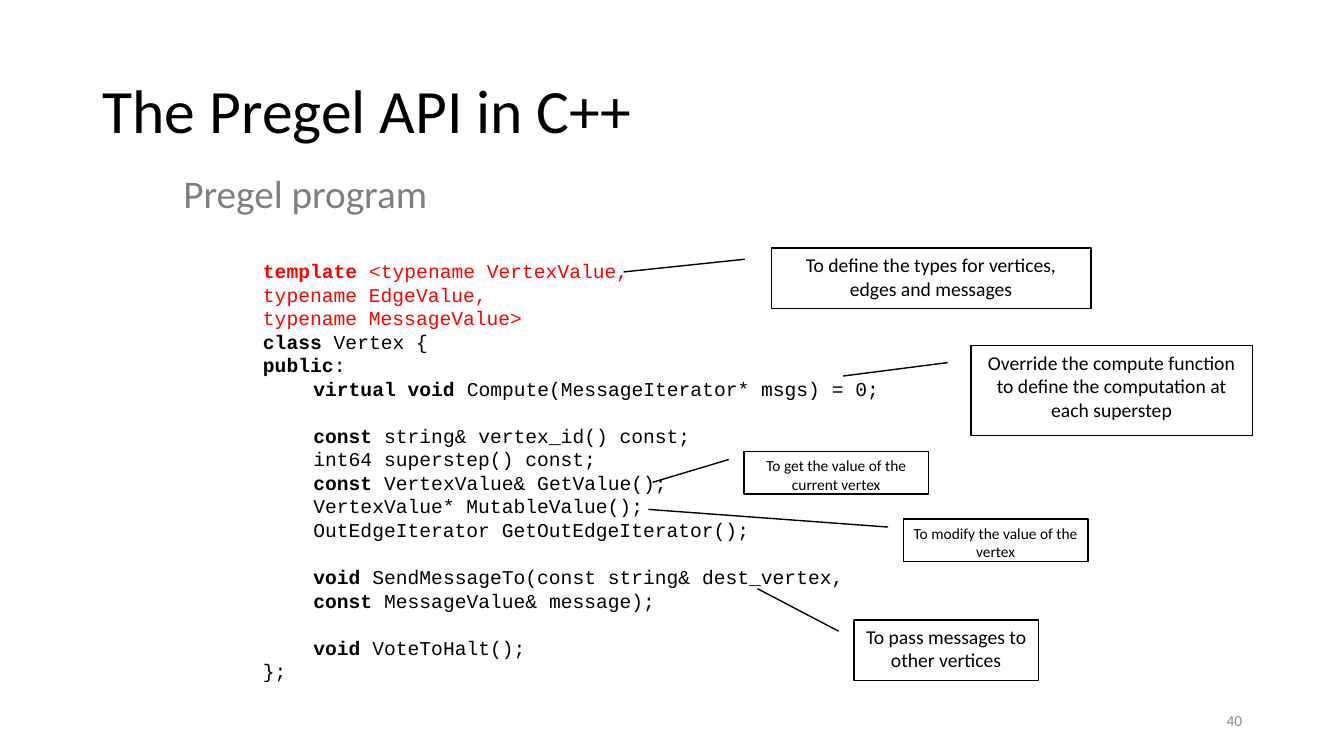
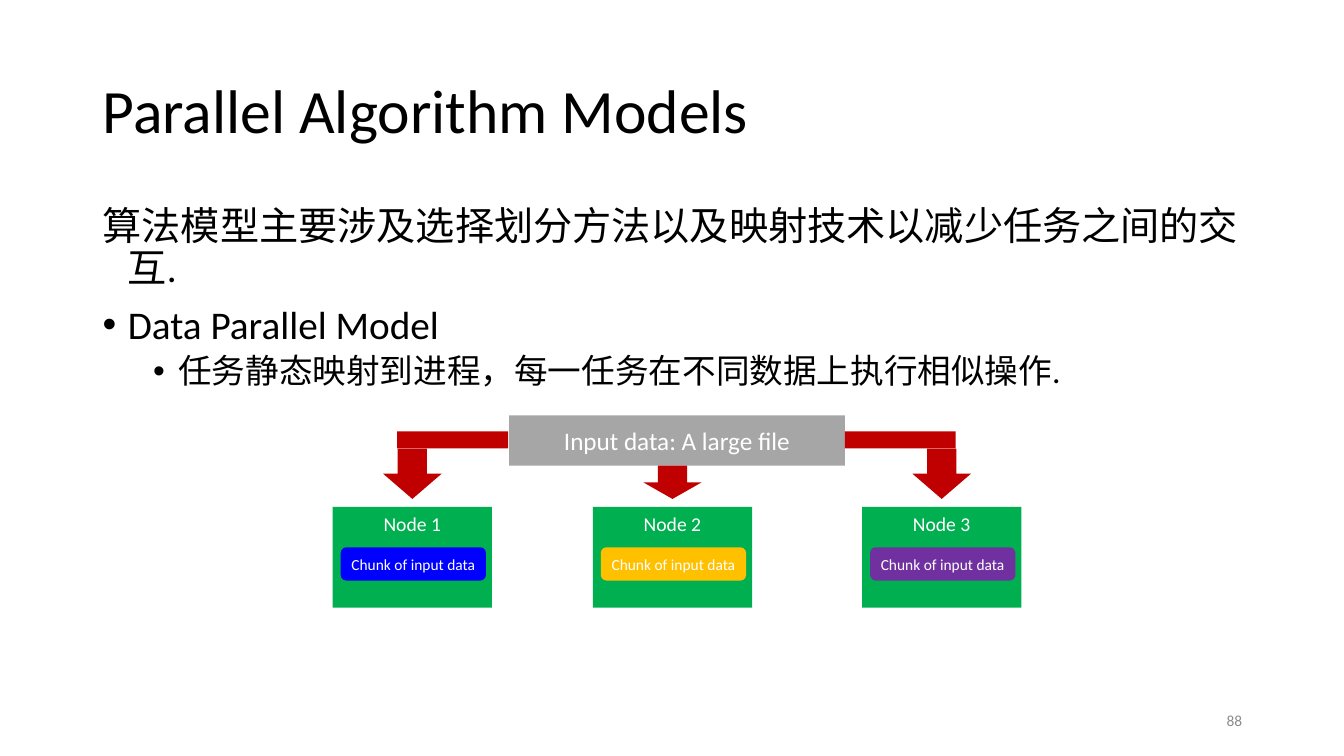
from pptx import Presentation
from pptx.dml.color import RGBColor
from pptx.enum.shapes import MSO_SHAPE
from pptx.enum.text import MSO_ANCHOR, PP_ALIGN
from pptx.oxml.ns import qn
from pptx.util import Inches, Pt
from lxml import etree

COLORS = {
    "black": "000000", "white": "FFFFFF", "red": "FF0000", "subtitle": "7F7F7F",
    "number": "8C8C8C", "file": "A6A6A6", "arrow": "C00000", "node": "00B050",
    "blue": "0000FF", "gold": "FFC000", "purple": "7030A0",
}
FONT = "Calibri"
CODE_FONT = "Courier New"


def style_font(font, size, color, name=FONT, bold=False):
    font.name = name
    font.size = Pt(size)
    font.bold = bold
    font.color.rgb = RGBColor.from_string(COLORS[color])


def add_box(page, place, lines, size=14, color="black", kind=None, fill=None, line=None,
            anchor=MSO_ANCHOR.TOP, align=PP_ALIGN.LEFT, spacing=1.0):
    place = [Inches(value) for value in place]
    if kind is None:
        box = page.shapes.add_textbox(*place)
    else:
        box = page.shapes.add_shape(kind, *place)
        box.shadow.inherit = False
        box.fill.solid()
        box.fill.fore_color.rgb = RGBColor.from_string(COLORS[fill])
        if line:
            box.line.color.rgb = RGBColor.from_string(COLORS[line])
            box.line.width = Pt(1)
        else:
            box.line.fill.background()
    frame = box.text_frame
    frame.word_wrap = True
    frame.vertical_anchor = anchor
    frame.text = lines
    for para in frame.paragraphs:
        para.alignment = align
        para.line_spacing = spacing
        for span in para.runs:
            style_font(span.font, size, color)
    return box


deck = Presentation()
deck.slide_width = Inches(13.33)
deck.slide_height = Inches(7.5)

pages = []
for title, number in [("The Pregel API in C++", "40"), ("Parallel Algorithm Models", "88")]:
    page = deck.slides.add_slide(deck.slide_layouts[6])
    add_box(page, (0.92, 0.4, 11.5, 1.45), title, 44, anchor=MSO_ANCHOR.MIDDLE, spacing=0.9)
    add_box(page, (9.42, 6.95, 3, 0.4), number, 11, "number",
            anchor=MSO_ANCHOR.MIDDLE, align=PP_ALIGN.RIGHT)
    pages.append(page)
pregel_page, models_page = pages

add_box(pregel_page, (1.72, 1.68, 10.6, 0.5), "Pregel program", 28, "subtitle",
        align=PP_ALIGN.JUSTIFY, spacing=0.9)

LINE_PITCH = Pt(16.8)
code_lines = [
    ("template", " <typename VertexValue,", "red", 0, False),
    ("", "typename EdgeValue,", "red", 0, False),
    ("", "typename MessageValue>", "red", 0, False),
    ("class", " Vertex {", "black", 0, False),
    ("public", ":", "black", 0, False),
    ("virtual void", " Compute(MessageIterator* msgs) = 0;", "black", 0.5, False),
    ("const", " string& vertex_id() const;", "black", 0.5, True),
    ("", "int64 superstep() const;", "black", 0.5, False),
    ("const ", "VertexValue& GetValue();", "black", 0.5, False),
    ("", "VertexValue* MutableValue();", "black", 0.5, False),
    ("", "OutEdgeIterator GetOutEdgeIterator();", "black", 0.5, False),
    ("void ", "SendMessageTo(const string& dest_vertex,", "black", 0.5, True),
    ("const ", "MessageValue& message);", "black", 0.5, False),
    ("void ", "VoteToHalt();", "black", 0.5, True),
    ("", "};", "black", 0, False),
]
code_box = pregel_page.shapes.add_textbox(Inches(2.51), Inches(2.52), Inches(6.42), Inches(4.34))
code_box.text_frame.word_wrap = True
for index, (keyword, rest, color, indent, gap) in enumerate(code_lines):
    para = code_box.text_frame.paragraphs[0] if index == 0 else code_box.text_frame.add_paragraph()
    para.line_spacing = LINE_PITCH
    if gap:
        para.space_before = LINE_PITCH
    para._p.get_or_add_pPr().set("marL", str(Inches(indent)))
    for text, bold in [(keyword, True), (rest, False)]:
        if text:
            span = para.add_run()
            span.text = text
            style_font(span.font, 14, color, CODE_FONT, bold)

callouts = [
    ("Override the compute function to define the computation at each superstep",
     (9.63, 3.43, 2.79, 0.89), 14, 0.338, -0.455),
    ("To pass messages to other vertices", (8.47, 6.15, 1.83, 0.6), 14, -0.516, -0.523),
    ("To define the types for vertices, edges and messages",
     (7.65, 2.46, 3.17, 0.6), 14, 0.397, -0.462),
    ("To get the value of the current vertex", (7.38, 4.48, 1.83, 0.42), 11, 0.727, -0.496),
    ("To modify the value of the vertex", (8.96, 5.15, 1.83, 0.42), 11, -0.23, -1.382),
]
for text, place, size, tip_y, tip_x in callouts:
    callout = add_box(pregel_page, place, text, size, kind=MSO_SHAPE.LINE_CALLOUT_1,
                      fill="white", line="black", align=PP_ALIGN.CENTER)
    for index, value in enumerate((0.188, -0.083, tip_y, tip_x)):
        callout.adjustments[index] = value

model_lines = [
    ("算法模型主要涉及选择划分方法以及映射技术以减少任务之间的交互.", 28, 0.25, 0, False),
    ("Data Parallel Model", 28, 0.25, 10, True),
    ("任务静态映射到进程，每一任务在不同数据上执行相似操作.", 24, 0.75, 5, True),
]
models_box = add_box(models_page, (0.92, 2, 11.5, 4.76),
                     "\n".join(text for text, *_ in model_lines), spacing=0.9)
for para, (text, size, margin, before, bulleted) in zip(models_box.text_frame.paragraphs, model_lines):
    para.space_before = Pt(before)
    properties = para._p.get_or_add_pPr()
    properties.set("marL", str(Inches(margin)))
    properties.set("indent", str(Inches(-0.25)))
    if bulleted:
        etree.SubElement(properties, qn("a:buFont")).set("typeface", "Arial")
        etree.SubElement(properties, qn("a:buChar")).set("char", "•")
    para.runs[0].font.size = Pt(size)

add_box(models_page, (5.05, 4.12, 3.33, 0.5), "Input data: A large file", 18, "white",
        MSO_SHAPE.RECTANGLE, "file", anchor=MSO_ANCHOR.MIDDLE, align=PP_ALIGN.CENTER)
for bar_left in (3.94, 8.38):
    add_box(models_page, (bar_left, 4.28, 1.1, 0.17), "", kind=MSO_SHAPE.RECTANGLE, fill="arrow")

nodes = [("Node 1", 3.3, "blue", 4.45), ("Node 2", 5.88, "gold", 4.62), ("Node 3", 8.55, "purple", 4.45)]
for name, left, chunk_color, arrow_top in nodes:
    add_box(models_page, (left + 0.5, arrow_top, 0.58, 4.95 - arrow_top), "",
            kind=MSO_SHAPE.DOWN_ARROW, fill="arrow")
    add_box(models_page, (left, 5.03, 1.58, 1), name, 14, "white", MSO_SHAPE.RECTANGLE, "node",
            align=PP_ALIGN.CENTER)
    chunk = add_box(models_page, (left + 0.08, 5.43, 1.44, 0.33), "Chunk of input data", 11, "white",
                    MSO_SHAPE.ROUNDED_RECTANGLE, chunk_color,
                    anchor=MSO_ANCHOR.MIDDLE, align=PP_ALIGN.CENTER)
    chunk.text_frame.margin_left = chunk.text_frame.margin_right = 0

deck.save("out.pptx")
